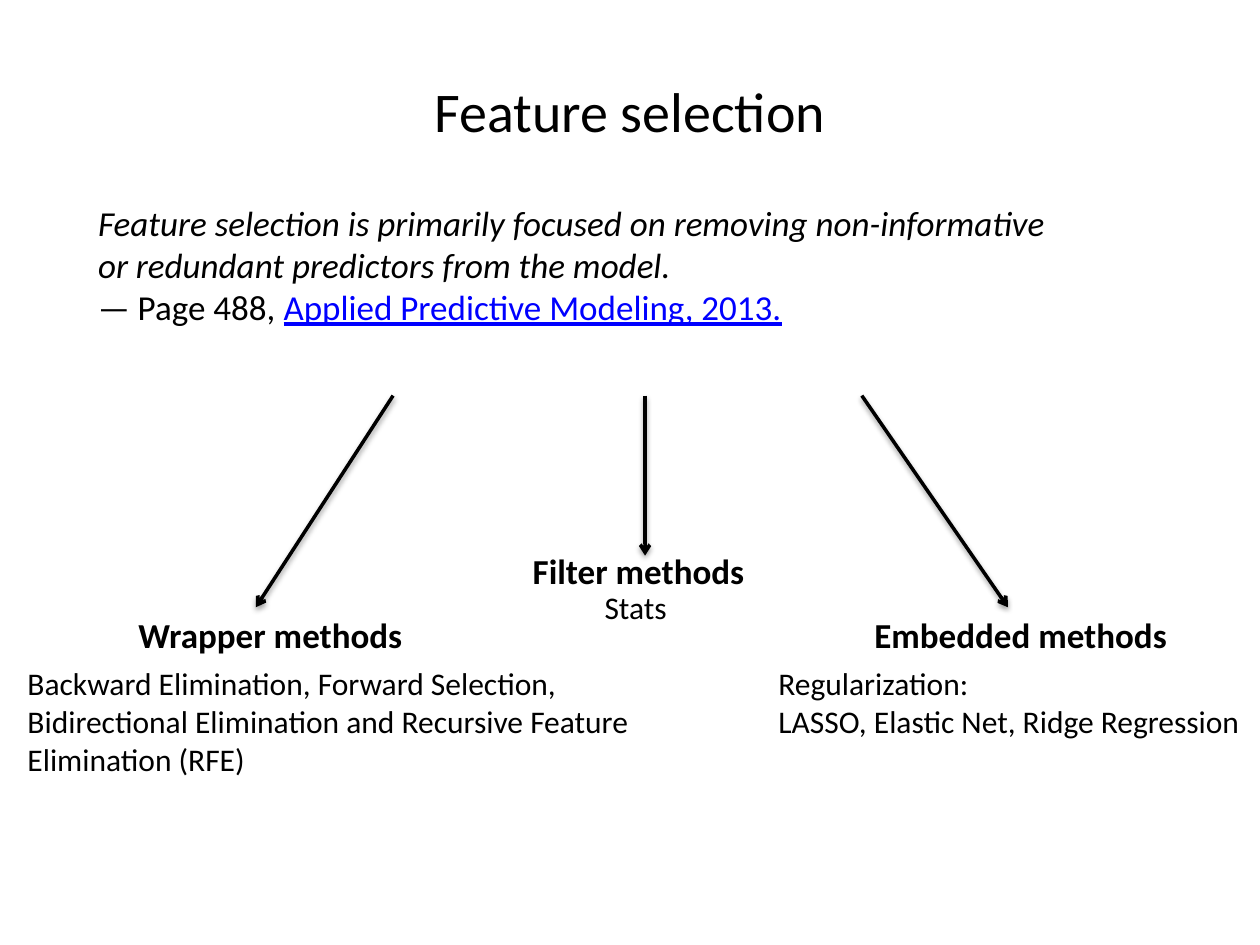
import pptx
import pptx.dml.color
import pptx.enum.shapes
import pptx.enum.text
import pptx.oxml
import pptx.util
from pptx.util import Inches

FONT = "Calibri"
BLACK, LINK_BLUE = "000000", "0000FF"
PLAIN, BOLD, ITALIC = {}, {"bold": True}, {"italic": True}
LINK = {"underline": True, "color": LINK_BLUE}

TITLE = ((0.5, 0.45, 9, 0.85), 32, True, [[("Feature selection", PLAIN)]])
TEXTS = [
    ((0.68, 1.55, 8.89, 1.11), 20, True, [
        [("Feature selection is primarily focused on removing non-informative", ITALIC)],
        [("or redundant predictors from the model.", ITALIC)],
        [("— Page 488, ", PLAIN), ("Applied Predictive Modeling, 2013.", LINK)],
    ]),
    ((0.12, 5.22, 5, 1.01), 18, True, [
        [("Backward Elimination, Forward Selection, Bidirectional Elimination "
          "and Recursive Feature Elimination (RFE)", PLAIN)],
    ]),
    ((6.08, 5.22, 3.92, 0.71), 18, False, [
        [("Regularization:", PLAIN)],
        [("LASSO, Elastic Net, Ridge Regression", PLAIN)],
    ]),
    ((6.84, 4.82, 2.55, 0.44), 20, False, [[("Embedded methods", BOLD)]]),
    ((1, 4.82, 2.33, 0.44), 20, False, [[("Wrapper methods", BOLD)]]),
    ((4.13, 4.31, 1.9, 0.44), 20, False, [[("Filter methods", BOLD)]]),
    ((4.7, 4.62, 0.7, 0.4), 18, False, [[("Stats", PLAIN)]]),
]

ARROW_TOP = 3.14
ARROWS = [(3.12, 2.03, 4.82), (5.12, 5.12, 4.41), (6.84, 8, 4.82)]
NAMESPACE = 'xmlns:a="http://schemas.openxmlformats.org/drawingml/2006/main"'
ARROWHEAD = f'<a:tailEnd {NAMESPACE} type="arrow"/>'
SHADOW = (
    f'<a:effectLst {NAMESPACE}><a:outerShdw blurRad="40000" dist="20000" dir="5400000" '
    f'rotWithShape="0"><a:srgbClr val="{BLACK}"><a:alpha val="38000"/></a:srgbClr>'
    '</a:outerShdw></a:effectLst>'
)


def rgb(value):
    return pptx.dml.color.RGBColor.from_string(value)


def add_text(slide, box, size, wrap, paragraphs):
    shape = slide.shapes.add_textbox(*map(Inches, box))
    frame = shape.text_frame
    frame.word_wrap = wrap
    for index, runs in enumerate(paragraphs):
        paragraph = frame.paragraphs[0] if index == 0 else frame.add_paragraph()
        for text, style in runs:
            run = paragraph.add_run()
            run.text = text
            font = run.font
            font.name = FONT
            font.size = pptx.util.Pt(size)
            font.bold = style.get("bold", False)
            font.italic = style.get("italic", False)
            font.underline = style.get("underline", False)
            font.color.rgb = rgb(style.get("color", BLACK))
    return frame


def add_arrow(slide, start_x, end_x, end_y):
    arrow = slide.shapes.add_connector(
        pptx.enum.shapes.MSO_CONNECTOR.STRAIGHT,
        Inches(start_x), Inches(ARROW_TOP), Inches(end_x), Inches(end_y))
    arrow.line.width = pptx.util.Pt(2)
    arrow.line.color.rgb = rgb(BLACK)
    arrow.line._get_or_add_ln().append(pptx.oxml.parse_xml(ARROWHEAD))
    arrow._element.spPr.append(pptx.oxml.parse_xml(SHADOW))


def main():
    presentation = pptx.Presentation()
    presentation.slide_width = Inches(10)
    presentation.slide_height = Inches(7.5)
    slide = presentation.slides.add_slide(presentation.slide_layouts[6])

    title = add_text(slide, *TITLE)
    title.vertical_anchor = pptx.enum.text.MSO_ANCHOR.MIDDLE
    title.paragraphs[0].alignment = pptx.enum.text.PP_ALIGN.CENTER
    for text in TEXTS:
        frame = add_text(slide, *text)
        frame.auto_size = pptx.enum.text.MSO_AUTO_SIZE.SHAPE_TO_FIT_TEXT
    for arrow in ARROWS:
        add_arrow(slide, *arrow)

    presentation.save("out.pptx")


if __name__ == "__main__":
    main()
